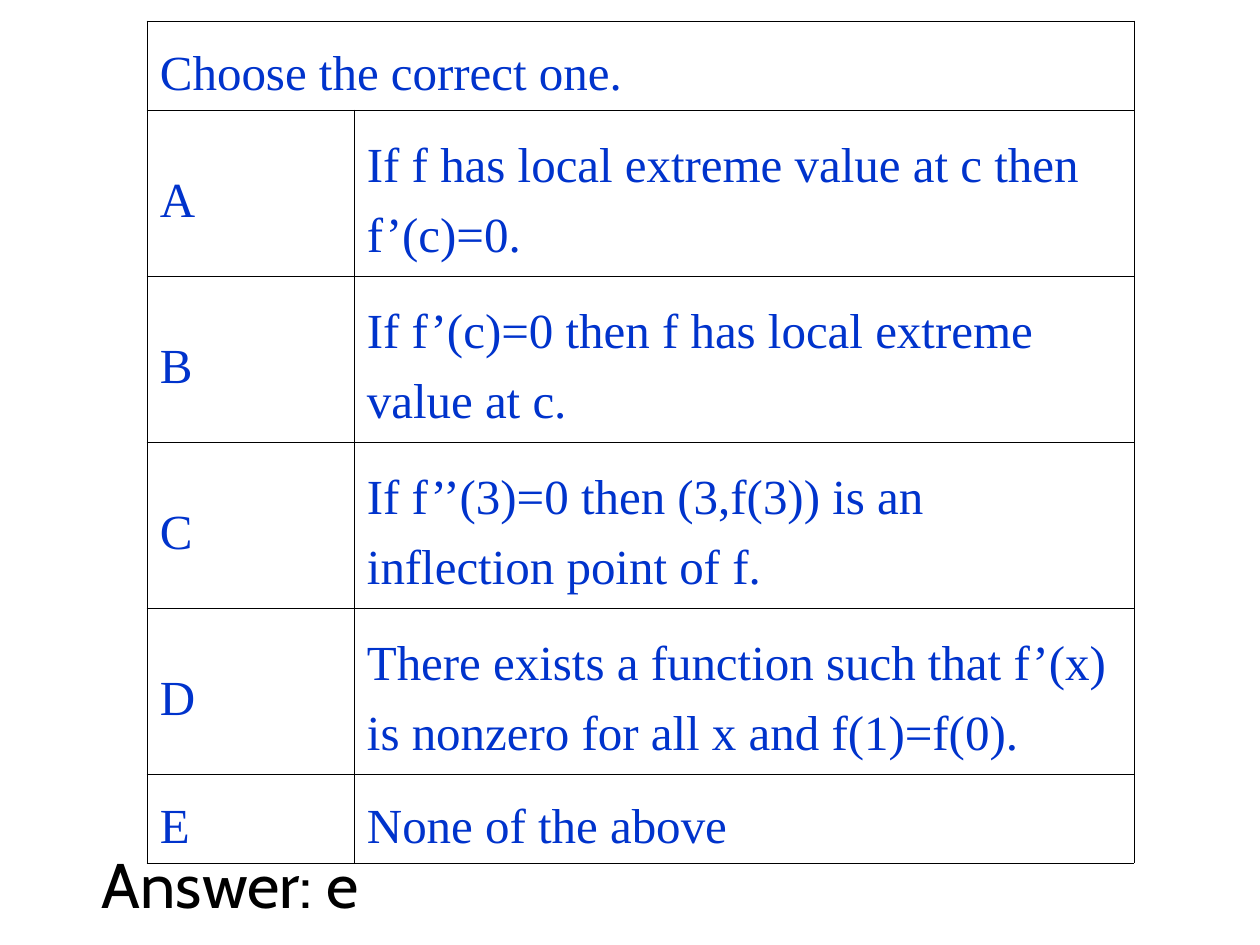
from dataclasses import dataclass

from lxml.etree import SubElement
from pptx import Presentation
from pptx.dml.color import RGBColor
from pptx.enum.text import MSO_ANCHOR, MSO_AUTO_SIZE
from pptx.oxml.ns import qn
from pptx.util import Pt


@dataclass(frozen=True)
class Theme:
    blue: str = "0033CC"
    black: str = "000000"
    table_font: str = "Times New Roman"
    answer_font: str = "Cabin"
    table_size: int = 28
    answer_size: int = 36
    border: float = 0.45


THEME = Theme()
PX_PER_INCH = 126
PAD_X, PAD_Y = 13, 6

QUESTION = "Choose the correct one."
OPTIONS = [
    ("A", "If f has local extreme value at c then f’(c)=0."),
    ("B", "If f’(c)=0 then f has local extreme value at c."),
    ("C", "If f’’(3)=0 then (3,f(3)) is an inflection point of f."),
    ("D", "There exists a function such that f’(x) is nonzero for all x and f(1)=f(0)."),
    ("E", "None of the above"),
]


def px(n):
    return round(n * 914400 / PX_PER_INCH)


def add_run(p, text, font, size, color):
    r = p.add_run()
    r.text = text
    r.font.name = font
    r.font.size = Pt(size)
    r.font.color.rgb = RGBColor.from_string(color)


def set_padding(frame):
    """Set the inner margins of a table cell or text frame."""
    frame.margin_left = frame.margin_right = px(PAD_X)
    frame.margin_top = frame.margin_bottom = px(PAD_Y)


def style_cell(cell):
    set_padding(cell)
    cell.vertical_anchor = MSO_ANCHOR.MIDDLE
    tcPr = cell._tc.get_or_add_tcPr()
    for side in ("lnL", "lnR", "lnT", "lnB"):
        ln = SubElement(tcPr, qn(f"a:{side}"), w=str(Pt(THEME.border)))
        fill = SubElement(ln, qn("a:solidFill"))
        SubElement(fill, qn("a:srgbClr"), val=THEME.black)
    cell.fill.background()


def fill_cell(cell, text):
    p = cell.text_frame.paragraphs[0]
    p.line_spacing = 1.3
    add_run(p, text, THEME.table_font, THEME.table_size, THEME.blue)


def add_question_table(s, x, y, w, h, letter_w=207, short_h=89):
    """Question across the top, then one row per option; one-line rows are short."""
    tall_h = (h - 2 * short_h) // (len(OPTIONS) - 1)
    heights = [short_h] + [tall_h] * (len(OPTIONS) - 1) + [short_h]
    table = s.shapes.add_table(len(heights), 2, px(x), px(y), px(w), px(h)).table
    table.first_row = table.horz_banding = False
    for col, width in zip(table.columns, (letter_w, w - letter_w)):
        col.width = px(width)
    for row, height in zip(table.rows, heights):
        row.height = px(height)
        for cell in row.cells:
            style_cell(cell)

    table.cell(0, 0).merge(table.cell(0, 1))
    fill_cell(table.cell(0, 0), QUESTION)
    for i, option in enumerate(OPTIONS, start=1):
        for j, text in enumerate(option):
            fill_cell(table.cell(i, j), text)


def add_answer(s, x, y, w, h):
    tf = s.shapes.add_textbox(px(x), px(y), px(w), px(h)).text_frame
    tf.word_wrap = False
    tf.auto_size = MSO_AUTO_SIZE.SHAPE_TO_FIT_TEXT
    set_padding(tf)
    add_run(tf.paragraphs[0], "Answer: e", THEME.answer_font, THEME.answer_size, THEME.black)


def main():
    prs = Presentation()
    prs.slide_width, prs.slide_height = px(1260), px(945)
    s = prs.slides.add_slide(prs.slide_layouts[6])
    add_question_table(s, 147, 21, 987, 842)
    add_answer(s, 89, 840, 314, 88)
    prs.save("out.pptx")


if __name__ == "__main__":
    main()
